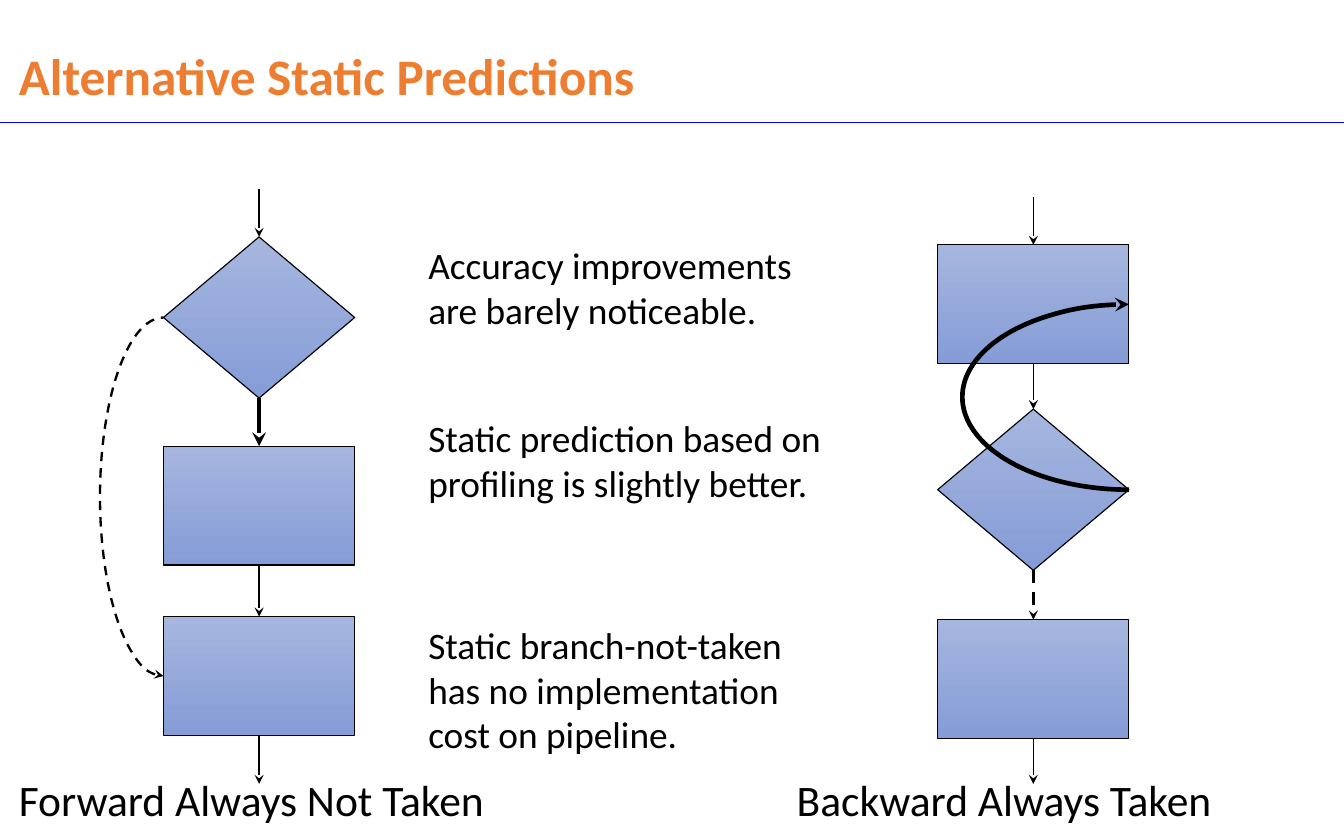
from lxml import etree
from pptx import Presentation
from pptx import util as u
from pptx.dml.color import RGBColor
from pptx.enum import dml, shapes, text
from pptx.oxml import ns

Cm, Pt = u.Cm, u.Pt
hues = {"title": "ED7D31", "rule": "0000FF", "ink": "000000",
        "top": "A6B6DE", "base": "859CD7"}
hues = {name: RGBColor.from_string(code) for name, code in hues.items()}

deck = Presentation()
deck.slide_width, deck.slide_height = Cm(30.5), Cm(19.05)
slide = deck.slides.add_slide(deck.slide_layouts[6])
kinds = shapes.MSO_SHAPE


def stroke(item, width, hue="ink", dash=False, end=None):
    item.line.width = Pt(width)
    item.line.color.rgb = hues[hue]
    if dash:
        item.line.dash_style = dml.MSO_LINE.DASH
    if end:
        tip = etree.SubElement(item.line._get_or_add_ln(), ns.qn("a:" + end))
        tip.set("type", "stealth")
    if not item.shape_type == shapes.MSO_SHAPE_TYPE.AUTO_SHAPE:
        etree.SubElement(item._element.spPr, ns.qn("a:effectLst"))


def link(x1, y1, x2, y2):
    return slide.shapes.add_connector(
        shapes.MSO_CONNECTOR.STRAIGHT, Cm(x1), Cm(y1), Cm(x2), Cm(y2))


# Rule below the title
stroke(link(0, 2.78, 30.5, 2.78), 0.75, "rule")

# Texts: left, top, width, height, size, hue, lines
notes = [
    (0.18, 1.04, 27.46, 1.17, 33, "title", ["Alternative Static Predictions"]),
    (0.18, 17.42, 13.44, 1.45, 28, "ink", ["Forward Always Not Taken"]),
    (17.83, 17.42, 12.32, 1.45, 28, "ink", ["Backward Always Taken"]),
    (9.47, 5.38, 10.62, 2.31, 24, "ink",
     ["Accuracy improvements", "are barely noticeable."]),
    (9.47, 9.3, 11.43, 2.31, 24, "ink",
     ["Static prediction based on", "profiling is slightly better."]),
    (9.47, 14, 10.34, 3.33, 24, "ink",
     ["Static branch-not-taken", "has no implementation", "cost on pipeline."]),
]
for left, top, wide, high, size, hue, lines in notes:
    box = slide.shapes.add_textbox(Cm(left), Cm(top), Cm(wide), Cm(high))
    frame = box.text_frame
    frame.word_wrap = True
    frame.vertical_anchor = text.MSO_ANCHOR.TOP
    for i, line in enumerate(lines):
        para = frame.paragraphs[0] if i == 0 else frame.add_paragraph()
        run = para.add_run()
        run.text = line
        run.font.name, run.font.size = "Calibri", Pt(size)
        run.font.color.rgb = hues[hue]
        if hue == "title":
            run.font.bold = True
            para.line_spacing = 0.9

# Flow charts: centre, first arrow's start, (kind, top) of nodes,
# (width, dash) of arrows
wide, tall = 4.34, {kinds.DIAMOND: 3.66, kinds.RECTANGLE: 2.7}
last = 17.8
flows = [
    (5.88, 4.29,
     [(kinds.DIAMOND, 5.38), (kinds.RECTANGLE, 10.13), (kinds.RECTANGLE, 14)],
     [(1, False), (3, False), (1, False), (1, False)]),
    (23.45, 4.47,
     [(kinds.RECTANGLE, 5.56), (kinds.DIAMOND, 9.29), (kinds.RECTANGLE, 14.07)],
     [(1, False), (1, False), (2, True), (1, False)]),
]
for mid, start, nodes, pens in flows:
    chain = []
    for kind, top in nodes:
        node = slide.shapes.add_shape(
            kind, Cm(mid - wide / 2), Cm(top), Cm(wide), Cm(tall[kind]))
        node.shadow.inherit = False
        node.fill.gradient()
        node.fill.gradient_angle = 270
        for stop, hue in zip(node.fill.gradient_stops, ("top", "base")):
            stop.color.rgb = hues[hue]
        stroke(node, 0.75)
        chain.append(node)
    # Arrows between neighbours, into the first node and out of the last
    for prior, after, (pen, dash) in zip([None] + chain, chain + [None], pens):
        arrow = link(mid, start, mid, last)
        if prior:
            arrow.begin_connect(prior, 2)
        if after:
            arrow.end_connect(after, 0)
        stroke(arrow, pen, dash=dash, end="tailEnd")

# Branch paths: centre, top, bottom, radius, width, dash, arrow end
jumps = [
    (3.71, 7.21, 15.35, 1.44, 1.5, True, "headEnd"),
    (25.62, 6.91, 11.12, 3.78, 3, False, "tailEnd"),
]
for mid, top, base, reach, pen, dash, end in jumps:
    jump = slide.shapes.add_shape(
        kinds.ARC, Cm(mid - reach), Cm(top), Cm(2 * reach), Cm(base - top))
    # Left half of the ellipse, angles in units of 1/0.6 degree
    jump.adjustments[0], jump.adjustments[1] = 54, 162
    jump.shadow.inherit = False
    jump.fill.background()
    stroke(jump, pen, dash=dash, end=end)

deck.save("out.pptx")
